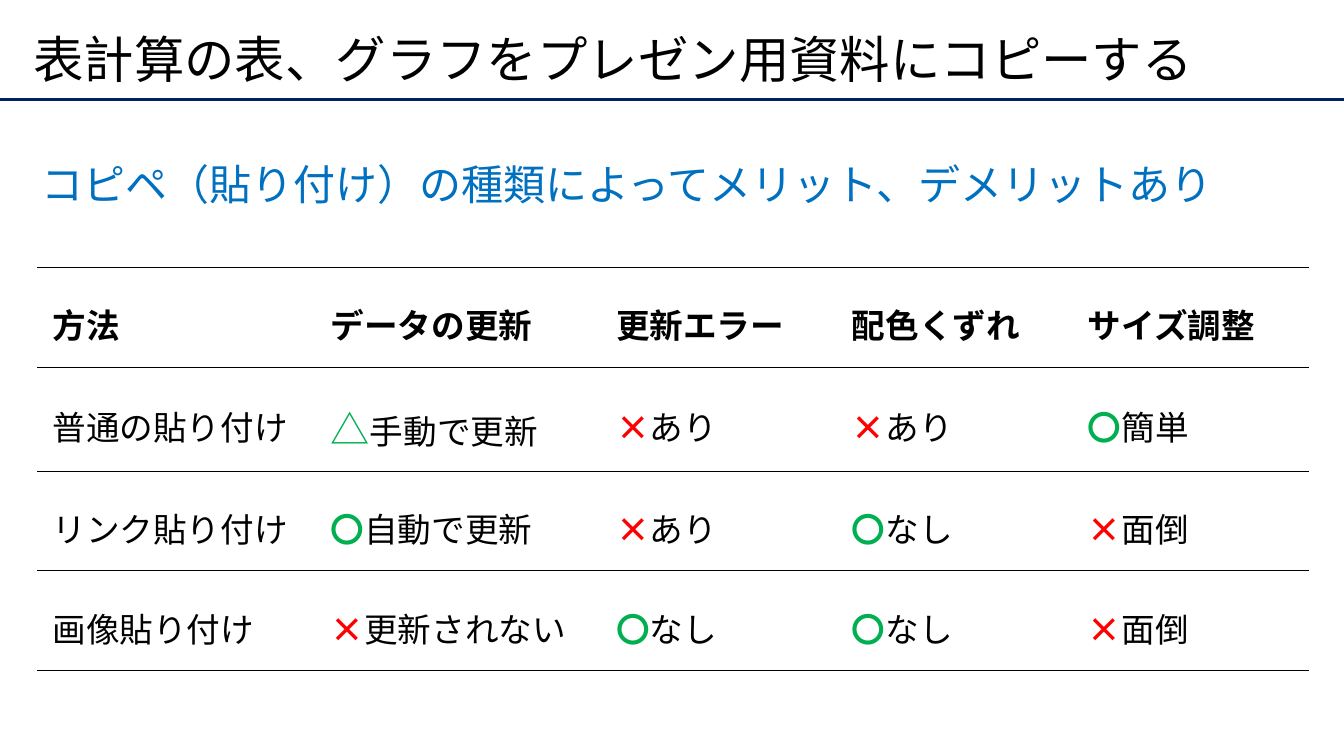
from dataclasses import dataclass

from lxml.etree import SubElement
from pptx import Presentation
from pptx.dml.color import RGBColor
from pptx.enum.shapes import MSO_CONNECTOR
from pptx.enum.text import MSO_ANCHOR, MSO_AUTO_SIZE, PP_ALIGN
from pptx.oxml import parse_xml
from pptx.oxml.ns import nsdecls, qn
from pptx.util import Inches, Pt

FONT = "Noto Sans CJK JP"
BLACK, WHITE, NAVY, BLUE = "000000", "FFFFFF", "002060", "0070C0"
GREEN, RED = "00B050", "FF0000"


@dataclass(frozen=True)
class Mark:
    symbol: str
    color: str
    size: float = 24
    bold: bool = True


@dataclass(frozen=True)
class Entry:
    text: str
    mark: Mark | None = None


GOOD = Mark("〇", GREEN)
FAIR = Mark("△", GREEN, size=28, bold=False)
BAD = Mark("×", RED)

HEADINGS = ["方法", "データの更新", "更新エラー", "配色くずれ", "サイズ調整"]
METHODS = [
    [Entry("普通の貼り付け"), Entry("手動で更新", FAIR), Entry("あり", BAD),
     Entry("あり", BAD), Entry("簡単", GOOD)],
    [Entry("リンク貼り付け"), Entry("自動で更新", GOOD), Entry("あり", BAD),
     Entry("なし", GOOD), Entry("面倒", BAD)],
    [Entry("画像貼り付け"), Entry("更新されない", BAD), Entry("なし", GOOD),
     Entry("なし", GOOD), Entry("面倒", BAD)],
]
COLUMN_WIDTHS = [2.76, 2.83, 2.34, 2.34, 2.34]
ROW_HEIGHT = 0.99


def rgb(color: str) -> RGBColor:
    return RGBColor.from_string(color)


def add_text(para, text: str, *, size: float = 24, color: str = BLACK,
             bold: bool = False, spacing: float = 1.3) -> None:
    para.alignment = PP_ALIGN.LEFT
    para.line_spacing = spacing
    span = para.add_run()
    span.text = text
    span.font.size = Pt(size)
    span.font.bold = bold
    span.font.color.rgb = rgb(color)
    span.font.name = FONT
    SubElement(span.font._element, qn("a:ea"), typeface=FONT)


def place(shape, left: float, top: float, width: float, height: float) -> None:
    shape.left, shape.top = Inches(left), Inches(top)
    shape.width, shape.height = Inches(width), Inches(height)


def set_borders(cell, top: float, bottom: float) -> None:
    """Draw the top and bottom edges in the given points, and no side edges."""
    properties = cell._tc.get_or_add_tcPr()
    edges = {"lnL": 0, "lnR": 0, "lnT": top, "lnB": bottom}
    for index, (tag, points) in enumerate(edges.items()):
        paint = (f'<a:solidFill><a:srgbClr val="{BLACK}"/></a:solidFill>'
                 if points else "<a:noFill/>")
        edge = parse_xml(f'<a:{tag} {nsdecls("a")} w="{Pt(points)}">{paint}</a:{tag}>')
        properties.insert(index, edge)


def fill_cell(cell, entry: Entry, bold: bool) -> None:
    cell.fill.solid()
    cell.fill.fore_color.rgb = rgb(WHITE)
    cell.vertical_anchor = MSO_ANCHOR.MIDDLE
    cell.margin_left = cell.margin_right = Inches(0.15)
    cell.margin_top = cell.margin_bottom = Inches(0.15)
    para = cell.text_frame.paragraphs[0]
    if entry.mark:
        mark = entry.mark
        add_text(para, mark.symbol, size=mark.size, color=mark.color, bold=mark.bold)
    add_text(para, entry.text, bold=bold)


def add_title(page) -> None:
    rule = page.shapes.add_connector(
        MSO_CONNECTOR.STRAIGHT, 0, Inches(0.99), Inches(13.33), Inches(0.99))
    rule.line.color.rgb = rgb(NAVY)
    rule.line.width = Pt(2.25)
    SubElement(rule._element.spPr, qn("a:effectLst"))

    title = page.shapes.title
    place(title, 0.23, 0.2, 12.6, 0.84)
    frame = title.text_frame
    frame.auto_size = MSO_AUTO_SIZE.NONE
    frame.vertical_anchor = MSO_ANCHOR.MIDDLE
    add_text(frame.paragraphs[0], "表計算の表、グラフをプレゼン用資料にコピーする",
             size=36, spacing=0.9)


def add_comparison(page) -> None:
    rows = [[Entry(heading) for heading in HEADINGS], *METHODS]
    table = page.shapes.add_table(
        len(rows), len(HEADINGS), Inches(0.37), Inches(2.65),
        Inches(sum(COLUMN_WIDTHS)), Inches(ROW_HEIGHT * len(rows))).table
    table.horz_banding = False
    for column, width in zip(table.columns, COLUMN_WIDTHS):
        column.width = Inches(width)
    last = len(rows) - 1
    for row_number, entries in enumerate(rows):
        table.rows[row_number].height = Inches(ROW_HEIGHT)
        for column_number, entry in enumerate(entries):
            cell = table.cell(row_number, column_number)
            fill_cell(cell, entry, bold=row_number == 0)
            set_borders(cell, top=1 if row_number == 0 else 0.25,
                        bottom=1 if row_number == last else 0.25)


def add_message(page) -> None:
    box = page.shapes.add_textbox(
        Inches(0.31), Inches(1.27), Inches(12.52), Inches(0.79))
    frame = box.text_frame
    frame.word_wrap = True
    frame.auto_size = MSO_AUTO_SIZE.SHAPE_TO_FIT_TEXT
    add_text(frame.paragraphs[0],
             "コピペ（貼り付け）の種類によってメリット、デメリットあり",
             size=30, color=BLUE, spacing=1.5)


def main() -> None:
    deck = Presentation()
    deck.slide_width, deck.slide_height = Inches(13.33), Inches(7.5)
    page = deck.slides.add_slide(deck.slide_layouts.get_by_name("Title Only"))
    add_title(page)
    add_comparison(page)
    add_message(page)
    deck.save("out.pptx")


if __name__ == "__main__":
    main()
